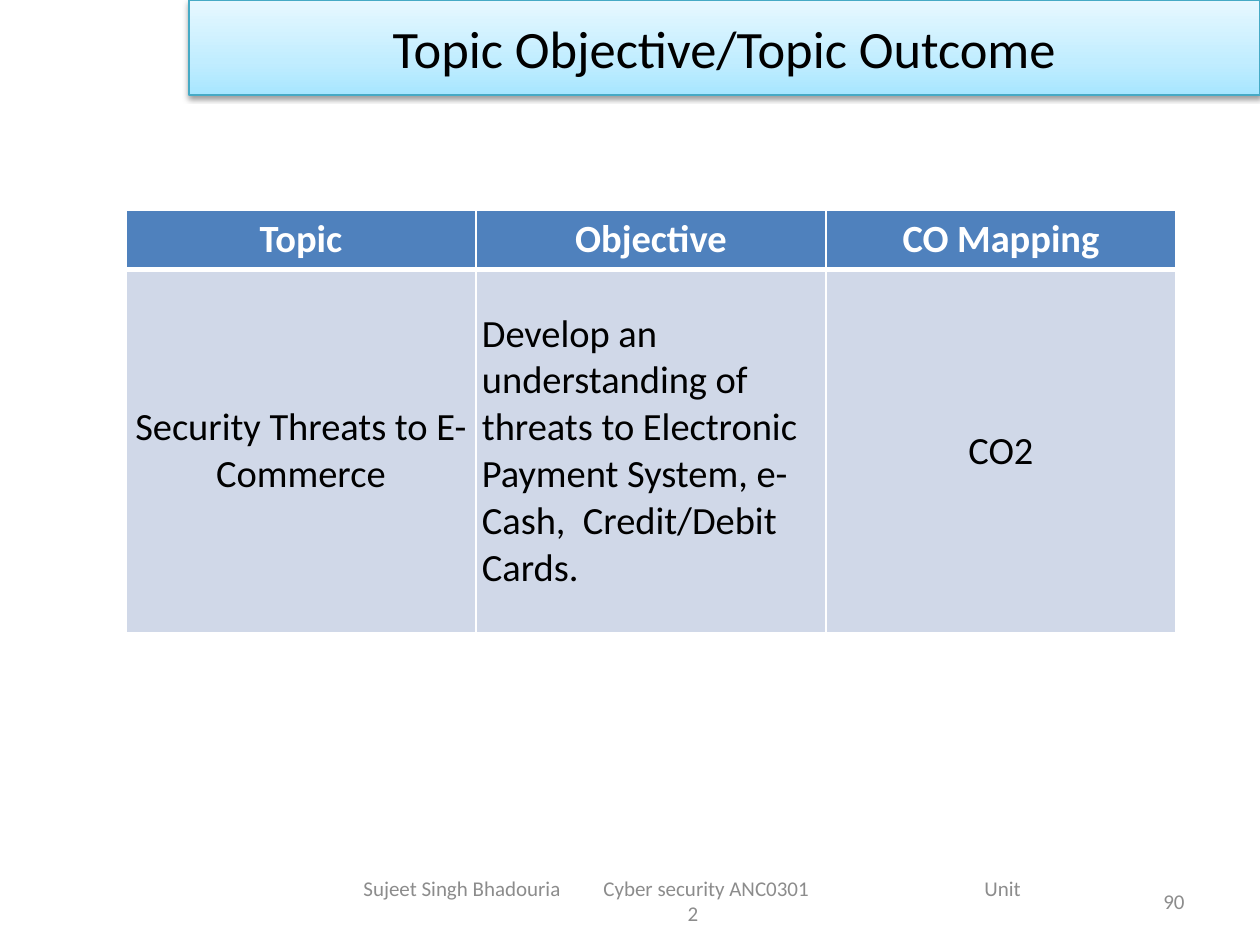
from copy import deepcopy
from dataclasses import dataclass

from lxml import etree
from pptx import Presentation
from pptx.dml.color import RGBColor
from pptx.enum.text import MSO_ANCHOR, MSO_AUTO_SIZE, PP_ALIGN
from pptx.oxml.ns import qn
from pptx.util import Pt

LEFT, CENTER, RIGHT = PP_ALIGN.LEFT, PP_ALIGN.CENTER, PP_ALIGN.RIGHT
MIDDLE = MSO_ANCHOR.MIDDLE
NO_AUTOFIT = MSO_AUTO_SIZE.NONE
EMU_PER_PX = 914400 / 126
TITLE_ONLY = 5


@dataclass(frozen=True)
class Theme:
    font: str = "Calibri"
    ink: str = "000000"
    paper: str = "FFFFFF"
    muted: str = "8C8C8C"
    header: str = "4F81BD"
    body: str = "D0D8E8"
    banner_line: str = "46AAC5"
    banner_stops: tuple = ((0, "A7E6FF"), (0.35, "C1EDFF"), (1, "E7F8FF"))
    title_size: int = 30
    table_size: int = 22
    footer_size: int = 12


THEME = Theme()
HEADINGS = ("Topic", "Objective", "CO Mapping")
TOPIC_ROW = (
    "Security Threats to E-Commerce",
    "Develop an understanding of threats to Electronic Payment System, "
    "e- Cash,  Credit/Debit Cards.",
    "CO2",
)


def px(length):
    return round(length * EMU_PER_PX)


def place(shape, left, top, width, height):
    shape.left, shape.top = px(left), px(top)
    shape.width, shape.height = px(width), px(height)


def style(para, size, color, align, bold=False):
    para.alignment = align
    for span in para.runs:
        span.font.name = THEME.font
        span.font.size = Pt(size)
        span.font.bold = bold
        span.font.color.rgb = RGBColor.from_string(color)


def fill_gradient(shape, stops):
    shape.fill.gradient()
    shape.fill.gradient_angle = 90
    stop_list = shape.element.spPr.find(".//" + qn("a:gsLst"))
    while len(stop_list) < len(stops):
        stop_list.append(deepcopy(stop_list[0]))
    for stop, (position, color) in zip(shape.fill.gradient_stops, stops):
        stop.position = position
        stop.color.rgb = RGBColor.from_string(color)


def add_shadow(shape):
    shape.shadow.inherit = False
    effects = shape.element.spPr.find(qn("a:effectLst"))
    shadow = etree.SubElement(effects, qn("a:outerShdw"), blurRad="40000",
                              dist="20000", dir="5400000", rotWithShape="0")
    color = etree.SubElement(shadow, qn("a:srgbClr"), val=THEME.ink)
    etree.SubElement(color, qn("a:alpha"), val="38000")


def format_title(page, text):
    title = page.shapes.title
    place(title, 189, 0, 1071, 95)
    fill_gradient(title, THEME.banner_stops)
    title.line.color.rgb = RGBColor.from_string(THEME.banner_line)
    title.line.width = Pt(0.75)
    add_shadow(title)
    frame = title.text_frame
    frame.text = text
    frame.auto_size = NO_AUTOFIT
    frame.vertical_anchor = MIDDLE
    style(frame.paragraphs[0], THEME.title_size, THEME.ink, CENTER)


def set_borders(cell, bottom):
    properties = cell._tc.get_or_add_tcPr()
    widths = {"a:lnL": 1, "a:lnR": 1, "a:lnT": 1, "a:lnB": bottom}
    for index, (tag, width) in enumerate(widths.items()):
        line = etree.Element(qn(tag), w=str(Pt(width)))
        solid = etree.SubElement(line, qn("a:solidFill"))
        etree.SubElement(solid, qn("a:srgbClr"), val=THEME.paper)
        properties.insert(index, line)


def format_cell(cell, text, fill, color, align=CENTER, bold=False, bottom=1):
    cell.text = text
    cell.vertical_anchor = MIDDLE
    cell.fill.solid()
    cell.fill.fore_color.rgb = RGBColor.from_string(fill)
    set_borders(cell, bottom)
    style(cell.text_frame.paragraphs[0], THEME.table_size, color, align, bold)


def add_objectives_table(page):
    column_width, row_heights = 350, (59, 363)
    columns = len(HEADINGS)
    table = page.shapes.add_table(
        2, columns, px(126), px(210),
        px(column_width * columns), px(sum(row_heights))).table
    for row, height in zip(table.rows, row_heights):
        row.height = px(height)
    for index, (heading, entry) in enumerate(zip(HEADINGS, TOPIC_ROW)):
        table.columns[index].width = px(column_width)
        top, below = table.cell(0, index), table.cell(1, index)
        format_cell(top, heading, THEME.header, THEME.paper, bold=True, bottom=3)
        format_cell(below, entry, THEME.body, THEME.ink,
                    LEFT if index == 1 else CENTER)
        if index < 2:
            for cell in (top, below):
                cell.margin_left = cell.margin_right = 0
                cell.margin_top = cell.margin_bottom = 0
    table.cell(1, 1).margin_left = px(6)


def add_footer_box(page, left, width, lines, tabs=()):
    """Each line is a (text, alignment) pair; tabs are px from the text edge."""
    box = page.shapes.add_textbox(px(left), px(876), px(width), px(50))
    frame = box.text_frame
    frame.word_wrap = True
    frame.vertical_anchor = MIDDLE
    frame.text = "\n".join(text for text, _ in lines)
    for para, (_, align) in zip(frame.paragraphs, lines):
        if tabs and align == LEFT:
            tab_list = etree.SubElement(para._p.get_or_add_pPr(), qn("a:tabLst"))
            for stop in tabs:
                etree.SubElement(tab_list, qn("a:tab"), pos=str(px(stop)), algn="l")
        style(para, THEME.footer_size, THEME.muted, align)


def main():
    deck = Presentation()
    deck.slide_width, deck.slide_height = px(1260), px(945)
    page = deck.slides.add_slide(deck.slide_layouts[TITLE_ONLY])

    # Banner title
    format_title(page, "Topic Objective/Topic Outcome")

    # Objectives and their course outcome
    add_objectives_table(page)

    # Footer and page number
    add_footer_box(page, 351, 684, [
        ("Sujeet Singh Bhadouria\tCyber security ANC0301\tUnit", LEFT),
        ("2", CENTER)], tabs=(240, 621))
    add_footer_box(page, 903, 294, [("90", RIGHT)])

    deck.save("out.pptx")


if __name__ == "__main__":
    main()
